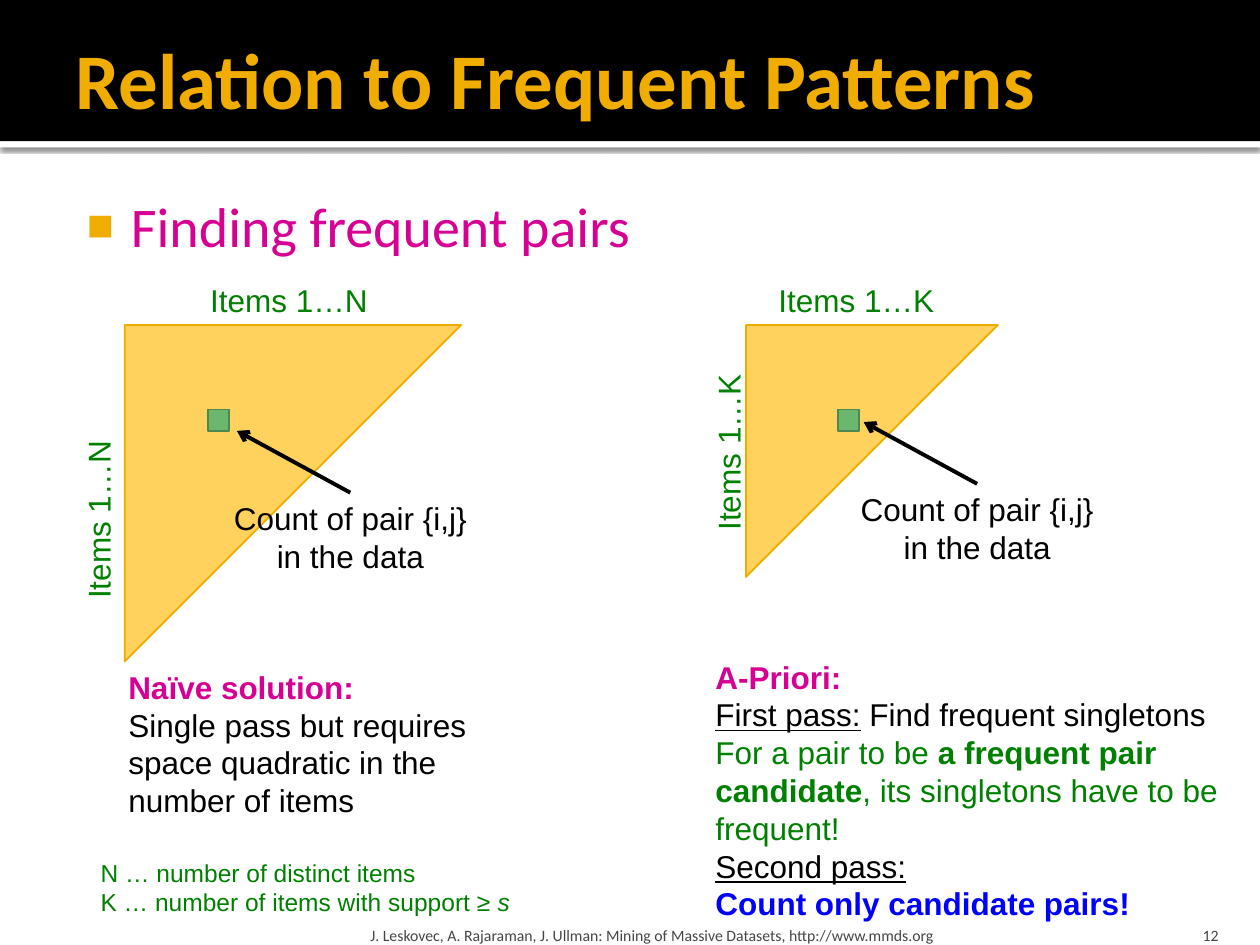
from lxml.etree import SubElement
from pptx import Presentation
from pptx.dml.color import RGBColor
from pptx.enum.shapes import MSO_CONNECTOR, MSO_SHAPE
from pptx.enum.text import MSO_ANCHOR, MSO_AUTO_SIZE, PP_ALIGN
from pptx.oxml.ns import qn
from pptx.util import Inches, Pt

COLORS = {
    "black": "000000", "white": "FFFFFF", "gold": "F0AD00",
    "pale_gold": "FFD25D", "magenta": "D60093", "green": "008000",
    "blue": "0000FF", "cell": "6BB76D", "cell_edge": "4F8751",
    "footer": "454545",
}
MATRIX_TOP = 2.58
CELL_TOP = 3.25
CELL_SIZE = 0.17


def rgb(name):
    return RGBColor.from_string(COLORS[name])


def add_block(slide, kind, box, fill, line=None, rotation=0):
    block = slide.shapes.add_shape(kind, *map(Inches, box))
    block.shadow.inherit = False
    block.rotation = rotation
    block.fill.solid()
    block.fill.fore_color.rgb = rgb(fill)
    if line:
        block.line.color.rgb = rgb(line)
        block.line.width = Pt(1)
    else:
        block.line.fill.background()
    return block


def add_bar_shadow(bar):
    effects = bar._element.spPr.find(qn("a:effectLst"))
    shadow = SubElement(effects, qn("a:outerShdw"), blurRad=str(Pt(2.5)),
                        dist=str(Pt(0.8)), dir="5400000", rotWithShape="0")
    color = SubElement(shadow, qn("a:srgbClr"), val=COLORS["black"])
    SubElement(color, qn("a:alpha"), val="60000")


def add_run(paragraph, text, color, size, font, style):
    lines = text.split("\n")
    for number, line in enumerate(lines):
        if line:
            run = paragraph.add_run()
            run.text = line
            run.font.name = font
            run.font.size = Pt(size)
            run.font.color.rgb = rgb(color)
            run.font.bold = "b" in style
            run.font.italic = "i" in style
            run.font.underline = "u" in style
        if number < len(lines) - 1:
            paragraph.add_line_break()


def add_text(slide, box, paragraphs, size=18, font="Arial", align=PP_ALIGN.LEFT,
             anchor=MSO_ANCHOR.TOP, insets=(0.1, 0.05, 0.1, 0.05), wrap=True,
             rotation=0):
    text_box = slide.shapes.add_textbox(*map(Inches, box))
    text_box.rotation = rotation
    frame = text_box.text_frame
    frame.word_wrap = wrap
    frame.auto_size = MSO_AUTO_SIZE.NONE
    frame.vertical_anchor = anchor
    (frame.margin_left, frame.margin_top,
     frame.margin_right, frame.margin_bottom) = map(Inches, insets)
    for number, runs in enumerate(paragraphs):
        paragraph = frame.add_paragraph() if number else frame.paragraphs[0]
        paragraph.alignment = align
        for text, color, style in runs:
            add_run(paragraph, text, color, size, font, style)
    return frame


def add_square_bullet(paragraph):
    properties = paragraph._p.get_or_add_pPr()
    properties.set("marL", str(Inches(0.48)))
    properties.set("indent", str(Inches(-0.35)))
    bullet_color = SubElement(properties, qn("a:buClr"))
    SubElement(bullet_color, qn("a:srgbClr"), val=COLORS["gold"])
    SubElement(properties, qn("a:buSzPct"), val="80000")
    SubElement(properties, qn("a:buFont"), typeface="Arial")
    SubElement(properties, qn("a:buChar"), char="■")


def add_arrow(slide, start, end):
    arrow = slide.shapes.add_connector(MSO_CONNECTOR.STRAIGHT,
                                       *map(Inches, start + end))
    arrow.line.color.rgb = rgb("black")
    arrow.line.width = Pt(2.25)
    SubElement(arrow.line._get_or_add_ln(), qn("a:tailEnd"), type="arrow")
    SubElement(arrow._element.spPr, qn("a:effectLst"))


def add_pair_matrix(slide, left, size, items, top_label, side_label, cell_left,
                    count_box):
    add_block(slide, MSO_SHAPE.RIGHT_TRIANGLE, (left, MATRIX_TOP, size, size),
              "pale_gold", "gold", rotation=90)
    for position, rotation in ((side_label, 270), (top_label, 0)):
        add_text(slide, position + (1.46, 0.4), [[(items, "green", "")]],
                 wrap=False, rotation=rotation)
    add_block(slide, MSO_SHAPE.RECTANGLE,
              (cell_left, CELL_TOP, CELL_SIZE, CELL_SIZE), "cell", "cell_edge")
    add_text(slide, count_box,
             [[("Count of pair {i,j} in the data", "black", "")]],
             align=PP_ALIGN.CENTER)
    count_left, count_top, count_width, _ = count_box
    start_x = count_left + count_width / 2
    add_arrow(slide, (start_x, count_top), (start_x - 0.9, count_top - 0.49))


def add_header(slide):
    white_bar = add_block(slide, MSO_SHAPE.RECTANGLE, (0, 1.12, 10, 0.05), "white")
    add_bar_shadow(white_bar)
    add_block(slide, MSO_SHAPE.RECTANGLE, (0, 0, 10, 1.12), "black")
    add_text(slide, (0.5, 0.08, 9, 1.08),
             [[("Relation to Frequent Patterns", "gold", "b")]], size=45,
             font="Calibri", anchor=MSO_ANCHOR.MIDDLE,
             insets=(0.1, 0.05, 0.05, 0.05))


def add_footer(slide):
    citation = ("J. Leskovec, A. Rajaraman, J. Ullman: "
                "Mining of Massive Datasets, http://www.mmds.org")
    for left, width, text, align, side in (
            (2.89, 6.02, citation, PP_ALIGN.LEFT, 0.05),
            (8.97, 0.8, "12", PP_ALIGN.RIGHT, 0.1)):
        add_text(slide, (left, 7.2, width, 0.3), [[(text, "footer", "")]], size=9,
                 font="Calibri", align=align, anchor=MSO_ANCHOR.BOTTOM,
                 insets=(side, 0.05, side, 0))


def main():
    presentation = Presentation()
    presentation.slide_width = Inches(10)
    presentation.slide_height = Inches(7.5)
    slide = presentation.slides.add_slide(presentation.slide_layouts[6])

    add_header(slide)
    topic = add_text(slide, (0.5, 1.42, 9, 2),
                     [[("Finding frequent pairs", "magenta", "")]], size=32,
                     font="Calibri", insets=(0.06, 0.1, 0.1, 0.05))
    add_square_bullet(topic.paragraphs[0])
    add_footer(slide)

    add_pair_matrix(slide, 0.99, 2.67, "Items 1…N", (1.57, 2.18), (0.05, 3.92),
                    1.65, (1.74, 3.91, 2.08, 0.71))
    add_text(slide, (0.92, 5.25, 2.9, 1.31), [[
        ("Naïve solution: \n", "magenta", "b"),
        ("Single pass but requires space quadratic in the number of items",
         "black", ""),
    ]])

    add_pair_matrix(slide, 5.92, 2, "Items 1…K", (6.08, 2.18), (5.05, 3.38),
                    6.65, (6.67, 3.84, 2.17, 0.71))
    add_text(slide, (5.58, 5.17, 4.33, 2.22), [
        [("A-Priori:\n", "magenta", "b"),
         ("First pass:", "black", "u"),
         (" Find frequent singletons", "black", "")],
        [("For a pair to be ", "green", ""),
         ("a frequent pair candidate", "green", "b"),
         (", its singletons have to be frequent!\n", "green", ""),
         ("Second pass:", "black", "u"),
         (" \n", "black", ""),
         ("Count only candidate pairs!", "blue", "b")],
    ])

    add_text(slide, (0.7, 6.76, 3.46, 0.57), [
        [("N … number of distinct items", "green", "")],
        [("K … number of items with support ≥ ", "green", ""),
         ("s", "green", "i")],
    ], size=14, wrap=False)

    presentation.save("out.pptx")


if __name__ == "__main__":
    main()
